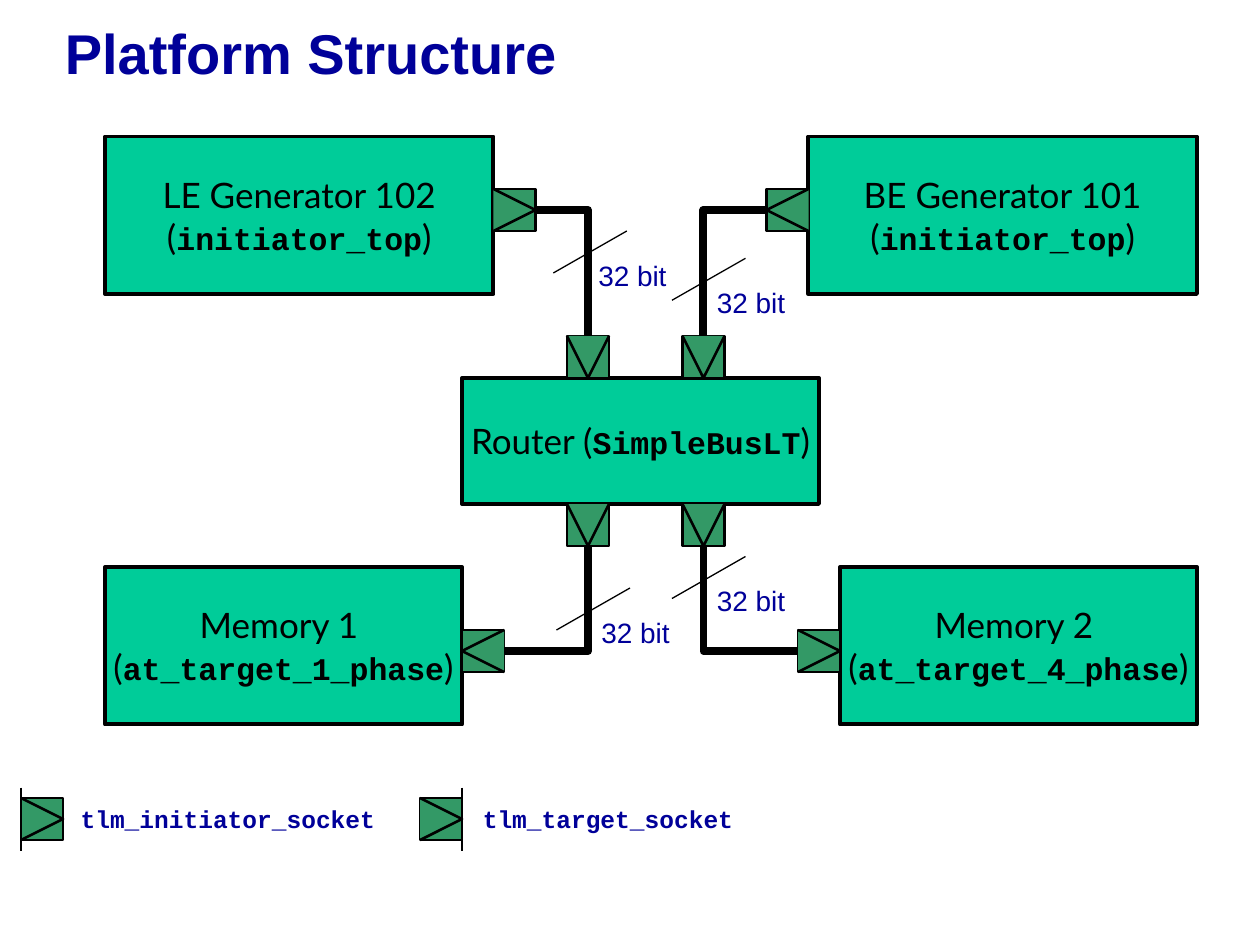
from lxml import etree
from pptx import Presentation
from pptx.dml.color import RGBColor
from pptx.enum.shapes import MSO_CONNECTOR, MSO_SHAPE
from pptx.enum.text import MSO_ANCHOR, MSO_AUTO_SIZE, PP_ALIGN
from pptx.oxml.ns import qn
from pptx.util import Emu, Pt

STRAIGHT, ELBOW = MSO_CONNECTOR.STRAIGHT, MSO_CONNECTOR.ELBOW
RECTANGLE = MSO_SHAPE.RECTANGLE
MIDDLE, CENTER = MSO_ANCHOR.MIDDLE, PP_ALIGN.CENTER
GROW = MSO_AUTO_SIZE.SHAPE_TO_FIT_TEXT

EMU_PER_PX = 7620  # 120 px to the inch
SOCKET = 40
NAVY, BLACK, MINT, GREEN = "000099", "000000", "00CC99", "339966"
SANS, MONO, BODY = "Arial", "Courier New", "Lato"


def px(*lengths):
    return [Emu(length * EMU_PER_PX) for length in lengths]


def color(hex_string):
    return RGBColor.from_string(hex_string)


def add_run(paragraph, text, size, font, ink, bold=False):
    run = paragraph.add_run()
    run.text = text
    run.font.size = Pt(size)
    run.font.name = font
    run.font.bold = bold
    run.font.color.rgb = color(ink)


def style(shape, fill, line_width):
    shape.shadow.inherit = False
    shape.fill.solid()
    shape.fill.fore_color.rgb = color(fill)
    shape.line.color.rgb = color(BLACK)
    shape.line.width = Pt(line_width)


def add_line(slide, start, end, width, kind=STRAIGHT):
    line = slide.shapes.add_connector(kind, *px(*start, *end))
    line.line.color.rgb = color(BLACK)
    line.line.width = Pt(width)
    properties = line._element.spPr
    etree.SubElement(properties, qn("a:effectLst"))
    if kind == ELBOW:
        properties.find(qn("a:prstGeom")).set("prst", "bentConnector2")


def add_label(slide, box, text, size, font, bold=False):
    label = slide.shapes.add_textbox(*px(*box))
    label.text_frame.word_wrap = False
    label.text_frame.auto_size = GROW
    add_run(label.text_frame.paragraphs[0], text, size, font, NAVY, bold)


def add_title(slide, box, text):
    title = slide.shapes.add_textbox(*px(*box))
    frame = title.text_frame
    frame.word_wrap = True
    frame.vertical_anchor = MIDDLE
    frame.paragraphs[0].line_spacing = 0.85
    add_run(frame.paragraphs[0], text, 32, SANS, NAVY, True)


def add_module(slide, box, name, class_name, one_line=False):
    module = slide.shapes.add_shape(RECTANGLE, *px(*box))
    style(module, MINT, 2.25)
    frame = module.text_frame
    frame.word_wrap = False
    frame.vertical_anchor = MIDDLE
    paragraph = frame.paragraphs[0]
    paragraph.alignment = CENTER
    add_run(paragraph, name, 20, BODY, BLACK)
    if not one_line:
        paragraph = frame.add_paragraph()
        paragraph.alignment = CENTER
    add_run(paragraph, "(", 20, BODY, BLACK)
    add_run(paragraph, class_name, 18, MONO, BLACK, True)
    add_run(paragraph, ")", 20, BODY, BLACK)


def add_socket(slide, left, top, direction):
    """Square port with a wedge that points right, left or down."""
    square = slide.shapes.add_shape(RECTANGLE, *px(left, top, SOCKET, SOCKET))
    style(square, GREEN, 1.5)
    half = SOCKET // 2
    corners = {
        "right": [(0, 0), (SOCKET, half), (0, SOCKET)],
        "left": [(SOCKET, SOCKET), (0, half), (SOCKET, 0)],
        "down": [(SOCKET, 0), (half, SOCKET), (0, 0)],
    }[direction]
    first, *rest = [(left + x, top + y) for x, y in corners]
    builder = slide.shapes.build_freeform(*first, scale=EMU_PER_PX)
    builder.add_line_segments(rest, close=False)
    style(builder.convert_to_shape(), GREEN, 1.5)


def add_bus_width(slide, left, top):
    """Slash across a wire, with the bus width beside it."""
    add_line(slide, (left, top + 40), (left + 70, top), 0.75)
    add_label(slide, (left + 31, top + 20, 89, 44), "32 bit", 16, SANS)


def add_legend(slide, left, top, edge, text_left, text_width, text):
    """Socket on a module edge, followed by its class name."""
    add_label(slide, (left + text_left, top, text_width, 41), text, 14, MONO, True)
    add_socket(slide, left, top, "right")
    add_line(slide, (left + edge, top - 10), (left + edge, top + 50), 0.75)


def main():
    deck = Presentation()
    deck.slide_width, deck.slide_height = px(1200, 900)
    slide = deck.slides.add_slide(deck.slide_layouts[6])

    add_title(slide, (50, -20, 1140, 150), "Platform Structure")

    add_module(slide, (100, 130, 370, 150), "LE Generator 102", "initiator_top")
    add_module(slide, (770, 130, 370, 150), "BE Generator 101", "initiator_top")
    add_module(slide, (440, 360, 340, 120), "Router ", "SimpleBusLT", one_line=True)
    add_module(slide, (100, 540, 340, 150), "Memory 1 ", "at_target_1_phase")
    add_module(slide, (800, 540, 340, 150), "Memory 2 ", "at_target_4_phase")

    for left, top, direction in [
        (470, 180, "right"), (730, 180, "left"),
        (440, 600, "left"), (760, 600, "right"),
    ]:
        add_socket(slide, left, top, direction)
    for top in (320, 480):
        for left in (540, 650):
            add_socket(slide, left, top, "down")

    for module_end, router_end in [
        ((510, 200), (560, 320)), ((730, 200), (670, 320)),
        ((480, 620), (560, 520)), ((760, 620), (670, 520)),
    ]:
        add_line(slide, module_end, router_end, 4.5, ELBOW)

    for left, top in [(527, 220), (640, 246), (530, 560), (640, 530)]:
        add_bus_width(slide, left, top)

    add_legend(slide, 20, 760, 0, 45, 305, "tlm_initiator_socket")
    add_legend(slide, 400, 760, SOCKET, 48, 263, "tlm_target_socket")

    deck.save("out.pptx")


if __name__ == "__main__":
    main()
